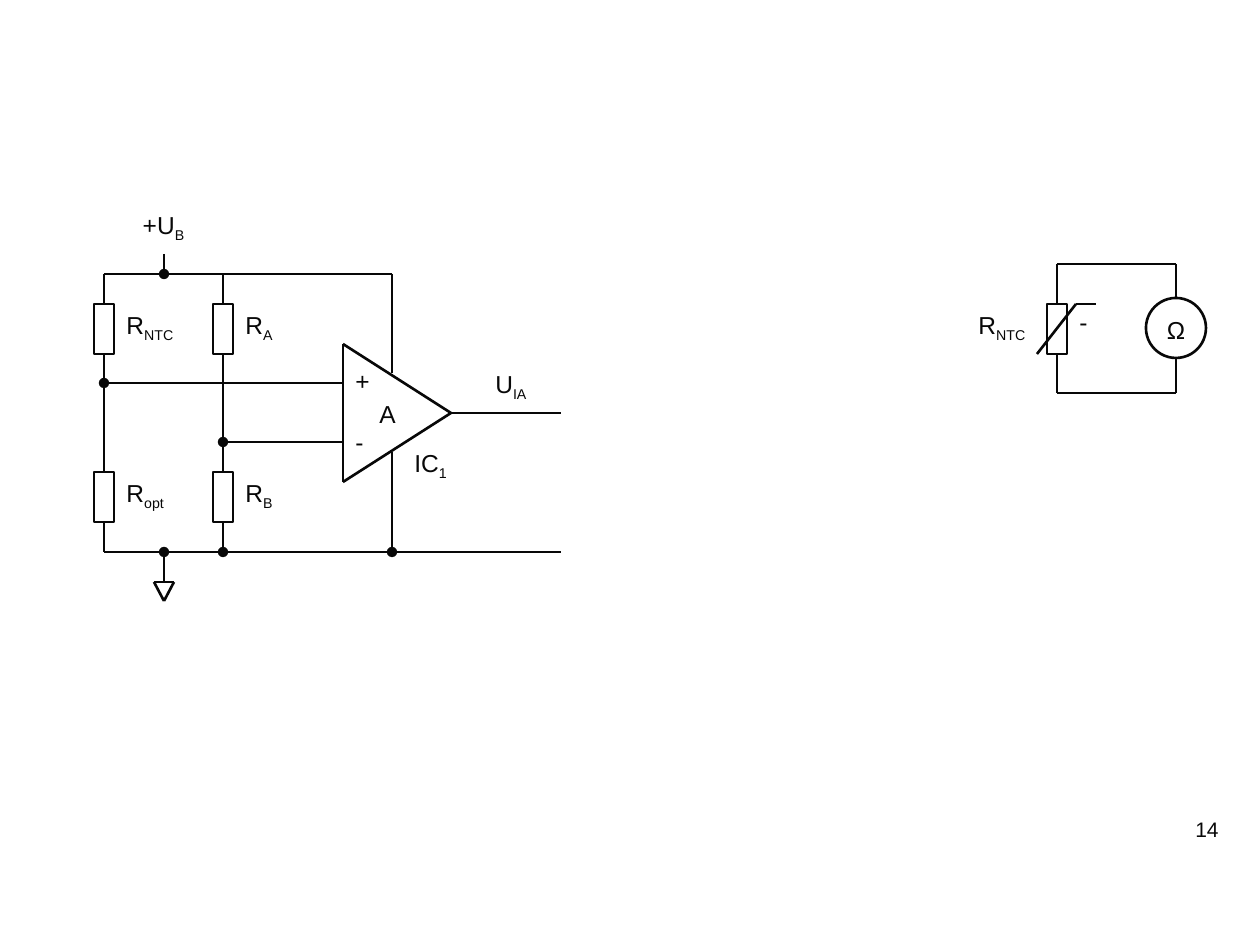
import pptx
import pptx.dml.color
import pptx.enum.dml
import pptx.enum.shapes
import pptx.enum.text
import pptx.oxml
import pptx.oxml.ns
import pptx.util

PX = 914400 / 126
INK = "080808"
color = pptx.dml.color.RGBColor.from_string
align = pptx.enum.text.PP_ALIGN
shape_type = pptx.enum.shapes.MSO_SHAPE

deck = pptx.Presentation()
deck.slide_width = round(1260 * PX)
deck.slide_height = round(945 * PX)
slide = deck.slides.add_slide(deck.slide_layouts[6])


def wire(x1, y1, x2, y2, node=False):
    ends = [round(v * PX) for v in (x1, y1, x2, y2)]
    conductor = slide.shapes.add_connector(pptx.enum.shapes.MSO_CONNECTOR.STRAIGHT, *ends)
    conductor.line.color.rgb = color(INK)
    conductor.line.width = pptx.util.Pt(1.5)
    if node:
        conductor.line._get_or_add_ln().append(pptx.oxml.parse_xml(
            f'<a:tailEnd {pptx.oxml.ns.nsdecls("a")} type="oval"/>'))
    conductor._element.spPr.append(pptx.oxml.parse_xml(
        f'<a:effectLst {pptx.oxml.ns.nsdecls("a")}/>'))


def label(x, y, w, h, symbol, index="", side=align.LEFT, size=14, before=8.8):
    caption = slide.shapes.add_textbox(*[round(v * PX) for v in (x, y, w, h)])
    caption.text_frame.word_wrap = True
    paragraph = caption.text_frame.paragraphs[0]
    paragraph.alignment = side
    paragraph.space_before = pptx.util.Pt(before)
    for text, baseline in ((symbol, 0), (index, -25000)):
        if text:
            run = paragraph.add_run()
            run.text = text
            run.font.name = "Arial"
            run.font.size = pptx.util.Pt(size)
            run.font.color.rgb = color(INK)
            if baseline:
                run._r.get_or_add_rPr().set("baseline", str(baseline))
    return caption


supply, ground = 274, 552
left, right, power = 104, 223, 392
upper, lower, resistor_height = 304, 472, 50

for branch in (left, right):
    wire(branch, supply, branch, upper)
    wire(branch, upper + resistor_height, branch, lower)
    wire(branch, lower + resistor_height, branch, ground, node=branch == right)

wire(left, supply, power, supply)
wire(164, 254, 164, supply, node=True)
wire(left, ground, right, ground)
wire(right, ground, 561, ground)
wire(164, 582, 164, ground, node=True)
wire(power, supply, power, 373)
wire(power, 452, power, ground, node=True)
wire(343, 383, left, 383, node=True)
wire(343, 442, right, 442, node=True)
wire(451, 413, 561, 413)

for corners in (
    [(154, 582), (174, 582), (164, 601)],
    [(343, 344), (343, 482), (451, 413)],
):
    for start, end in zip(corners, corners[1:] + corners[:1]):
        wire(*start, *end)

sensor, meter = 1057, 1176
for branch, body_top, body_bottom in ((sensor, 304, 354), (meter, 304, 344)):
    wire(branch, 264, branch, body_top)
    wire(branch, body_bottom, branch, 393)
for rail in (264, 393):
    wire(sensor, rail, meter, rail)
wire(1037, 354, 1076, 304)
wire(1076, 304, 1096, 304)

resistors = [(x, y) for x in (left, right) for y in (upper, lower)] + [(sensor, upper)]
bodies = [(shape_type.RECTANGLE, x - 10, y, 20, resistor_height) for x, y in resistors]
bodies.append((shape_type.OVAL, meter - 30, 298, 60, 60))
for kind, *frame in bodies:
    body = slide.shapes.add_shape(kind, *[round(v * PX) for v in frame])
    body.shadow.inherit = False
    body.line.color.rgb = color(INK)
    body.line.width = pptx.util.Pt(1.5)
    if kind == shape_type.OVAL:
        body.fill.solid()
        body.fill.fore_color.rgb = color("FFFFFF")
    else:
        body.fill.background()

ohm = label(1146, 309, 60, 43, "Ω", side=align.CENTER)
slide.shapes.add_group_shape([body, ohm])

for x, y, index in (
    (left, upper, "NTC"), (left, lower, "opt"), (right, upper, "A"), (right, lower, "B"),
):
    label(x + 10, y, 90, 47, "R", index)
label(124, 204, 79, 47, "+U", "B", align.CENTER)
label(461, 363, 100, 47, "U", "IA", align.CENTER)
label(402, 442, 90, 47, "IC", "1")
label(343, 360, 49, 43, "+")
label(343, 421, 49, 43, "-")
label(363, 393, 49, 43, "A", side=align.CENTER)
label(1067, 301, 30, 43, "-", side=align.CENTER)
label(948, 304, 90, 47, "R", "NTC", align.RIGHT)
label(937, 810, 294, 66, "14", side=align.RIGHT, size=12, before=0)

deck.save("out.pptx")
